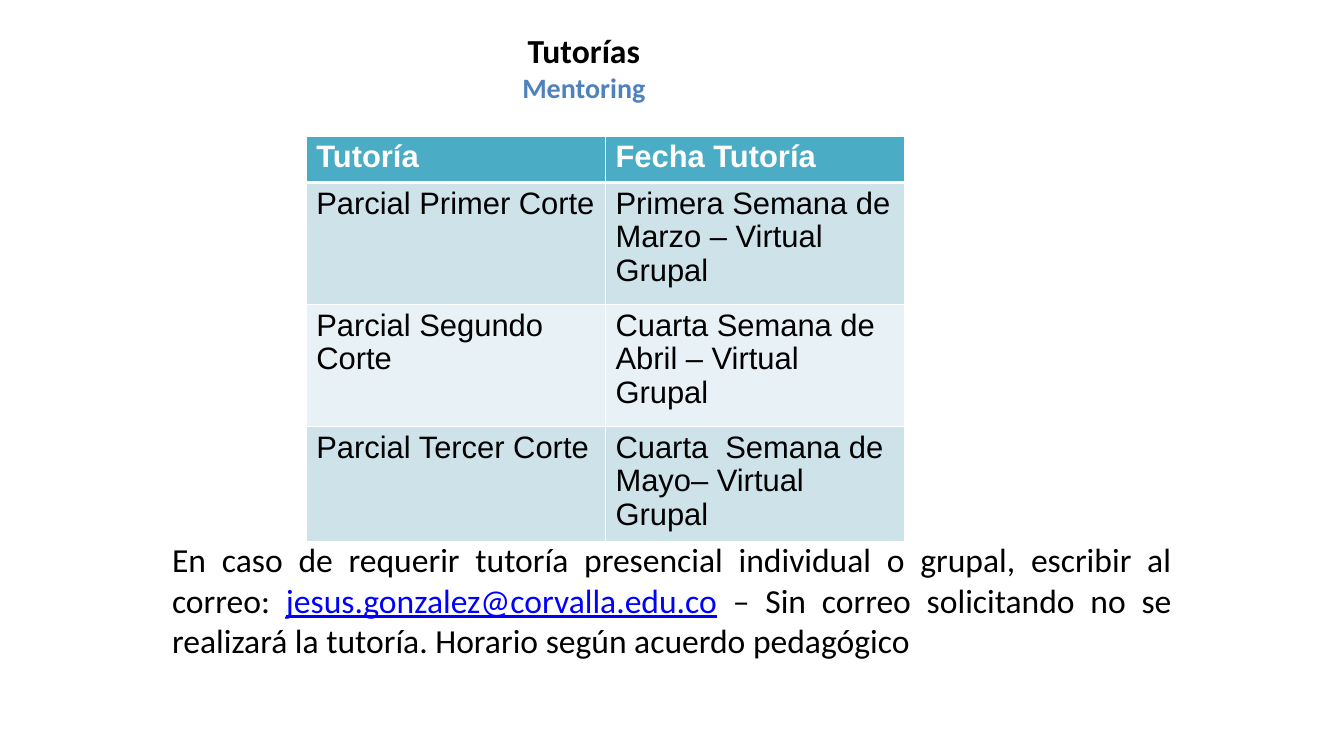
from lxml import etree
from pptx import Presentation
from pptx import util as u
from pptx.dml.color import RGBColor
from pptx.enum import text
from pptx.oxml import ns

COLORS = {
    "ink": "000000", "white": "FFFFFF", "subtitle": "4F81BD", "link": "0000FF",
    "header": "4BACC6", "odd": "CEE2EA", "even": "E8F1F5",
}
TUTORING = [
    ("Tutoría", "Fecha Tutoría"),
    ("Parcial Primer Corte", "Primera Semana de Marzo – Virtual Grupal"),
    ("Parcial Segundo Corte", "Cuarta Semana de Abril – Virtual Grupal"),
    ("Parcial Tercer Corte", "Cuarta  Semana de Mayo– Virtual Grupal"),
]
ROW_HEIGHTS = (0.46, 1.21, 1.21, 1.14)
NOTICE = [
    ("En caso de requerir tutoría presencial individual o grupal, escribir al correo: ", "ink", False),
    ("jesus.gonzalez@corvalla.edu.co", "link", True),
    (" – Sin correo solicitando no se realizará la tutoría. Horario según acuerdo pedagógico", "ink", False),
]


def add_span(para, words, color, **formats):
    """Append a run of words with its colour and font settings."""
    span = para.add_run()
    span.text = words
    span.font.color.rgb = RGBColor.from_string(COLORS[color])
    for name, value in formats.items():
        setattr(span.font, name, value)


def set_frame(frame, anchor):
    """Give a text frame the common margins and wrapping."""
    formats = {
        "word_wrap": True, "auto_size": text.MSO_AUTO_SIZE.NONE, "vertical_anchor": anchor,
        "margin_left": u.Inches(0.1), "margin_right": u.Inches(0.1),
        "margin_top": u.Inches(0.05), "margin_bottom": u.Inches(0.05),
    }
    for name, value in formats.items():
        setattr(frame, name, value)


def set_borders(cell, bottom):
    """Draw white borders around a cell, with its own bottom width in points."""
    properties = cell._tc.get_or_add_tcPr()
    widths = {"lnL": 1, "lnR": 1, "lnT": 1, "lnB": bottom}
    for index, (side, width) in enumerate(widths.items()):
        line = etree.Element(ns.qn(f"a:{side}"), w=str(u.Pt(width)))
        fill = etree.SubElement(line, ns.qn("a:solidFill"))
        etree.SubElement(fill, ns.qn("a:srgbClr"), val=COLORS["white"])
        properties.insert(index, line)


def add_heading(page, left, top, width, height):
    """Place the title and its English subtitle."""
    box = page.shapes.title
    box.left, box.top, box.width, box.height = map(u.Inches, (left, top, width, height))
    frame = box.text_frame
    set_frame(frame, text.MSO_ANCHOR.TOP)
    lines = [("Tutorías", "ink", 24), ("Mentoring", "subtitle", 20)]
    for index, (words, color, size) in enumerate(lines):
        para = frame.add_paragraph() if index else frame.paragraphs[0]
        para.alignment = text.PP_ALIGN.CENTER
        add_span(para, words, color, name="Calibri", size=u.Pt(size), bold=True)


def add_schedule(page, left, top, width):
    """Place the table of tutoring dates."""
    box = page.shapes.add_table(
        len(TUTORING), len(TUTORING[0]), u.Inches(left), u.Inches(top),
        u.Inches(width), u.Inches(sum(ROW_HEIGHTS)))
    table = box.table
    for index, (values, height) in enumerate(zip(TUTORING, ROW_HEIGHTS)):
        table.rows[index].height = u.Inches(height)
        is_header = index == 0
        fill = "header" if is_header else ("odd" if index % 2 else "even")
        for cell, words in zip(table.rows[index].cells, values):
            cell.fill.solid()
            cell.fill.fore_color.rgb = RGBColor.from_string(COLORS[fill])
            set_borders(cell, 3 if is_header or index == 0 else 1)
            para = cell.text_frame.paragraphs[0]
            para.line_spacing = 0.97
            add_span(para, words, "white" if is_header else "ink",
                     name="Arial", size=u.Pt(22.1), bold=is_header)


def add_notice(page, left, top, width, height):
    """Place the justified note on how to ask for tutoring."""
    box = page.shapes.add_textbox(*map(u.Inches, (left, top, width, height)))
    set_frame(box.text_frame, text.MSO_ANCHOR.TOP)
    para = box.text_frame.paragraphs[0]
    para.alignment = text.PP_ALIGN.JUSTIFY
    for words, color, underline in NOTICE:
        add_span(para, words, color, name="Calibri", size=u.Pt(24), underline=underline)


def main():
    """Build the tutoring slide and save the deck."""
    deck = Presentation()
    deck.slide_width, deck.slide_height = u.Inches(13.34), u.Inches(7.5)
    page = deck.slides.add_slide(deck.slide_layouts[5])
    add_heading(page, 3.53, 0.25, 4.53, 0.84)
    add_schedule(page, 3.04, 1.35, 5.94)
    add_notice(page, 1.61, 5.3, 10.12, 1.31)
    deck.save("out.pptx")


if __name__ == "__main__":
    main()
